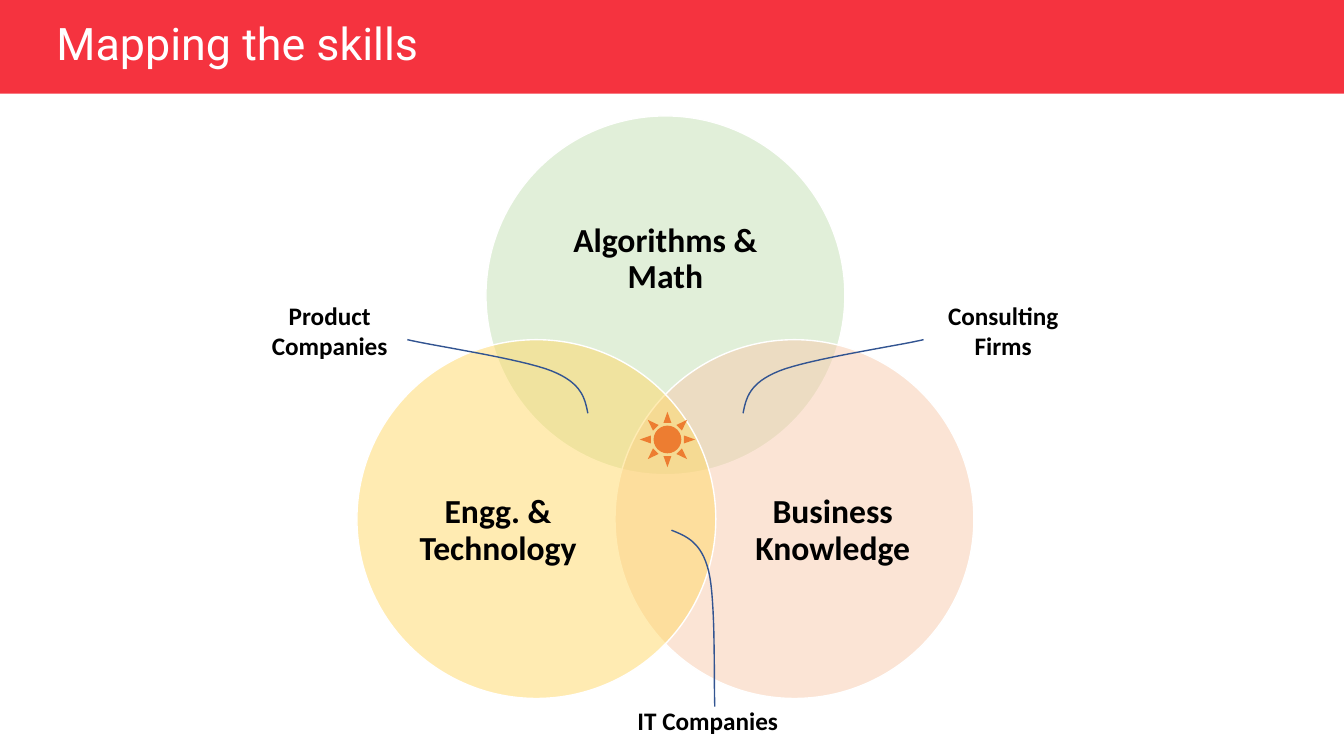
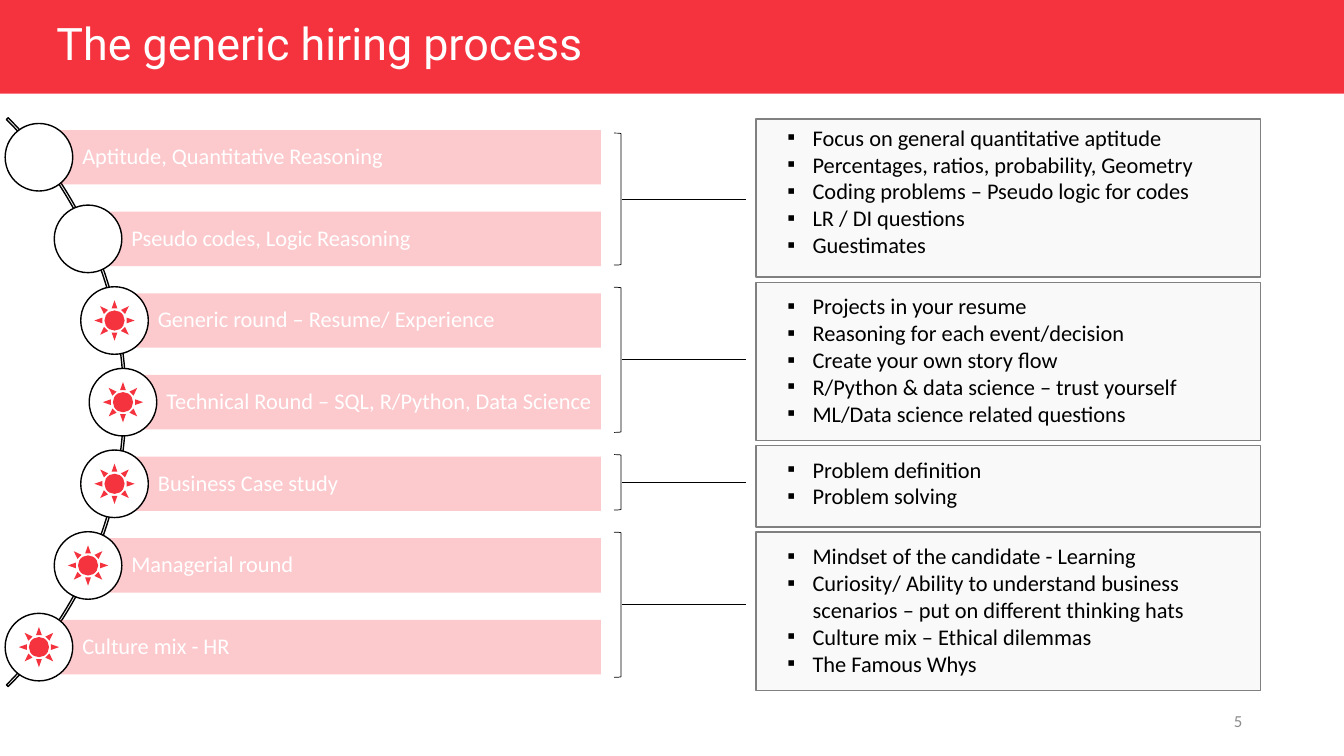
import math

import pptx
import pptx.util
import pptx.dml.color
import pptx.enum.shapes
import pptx.enum.text
import pptx.oxml
import pptx.oxml.ns

Inches, Pt = pptx.util.Inches, pptx.util.Pt
SHAPE = pptx.enum.shapes.MSO_SHAPE
ALIGN = pptx.enum.text.PP_ALIGN
ANCHOR = pptx.enum.text.MSO_ANCHOR
qn = pptx.oxml.ns.qn

SLIDE_W, SLIDE_H = 13.33, 7.5
COLORS = {
    "red": "F5333F", "bar": "F6303E", "white": "FFFFFF", "black": "000000",
    "green": "C5E0B4", "peach": "F8CBAD", "yellow": "FFD966", "orange": "ED7D31",
    "leader": "325491", "panel": "F2F2F2", "border": "808080", "number": "8C8C8C",
}
BODY_FONT, TITLE_FONT = "Calibri", "Roboto"

# Skills map: text, colour, centre, text insets (left, top, right, bottom)
AXIS_X, CIRCLE_D = 6.6, 3.56
SKILLS = [
    ("Algorithms & Math", "green", (AXIS_X, 2.93), (0, 0.1, 0, 0.81)),
    ("Business Knowledge", "peach", (AXIS_X + 1.28, 5.15), (0.76, 0.4, 0, 0.16)),
    ("Engg. & Technology", "yellow", (AXIS_X - 1.28, 5.15), (0, 0.4, 0.76, 0.16)),
]
EMPLOYERS = [("Product Companies", 2.35, 3), ("Consulting Firms", 9.03, 3),
             ("IT Companies", 6.1, 6.87)]
SIDE_LEADER = [(7.37, 4.1), (7.4, 3.95), (7.43, 3.8), (7.73, 3.68),
               (8.03, 3.56), (8.91, 3.43), (9.16, 3.37)]
LOWER_LEADER = [(6.66, 5.26), (6.81, 5.32), (6.96, 5.38), (7.03, 5.67),
                (7.1, 5.96), (7.08, 6.77), (7.09, 7.01)]
LEADERS = [SIDE_LEADER, [(2 * AXIS_X - x, y) for x, y in SIDE_LEADER], LOWER_LEADER]

# Hiring process: round, whether it is marked with a sun
ROUNDS = [
    ("Aptitude, Quantitative Reasoning", False),
    ("Pseudo codes, Logic Reasoning", False),
    ("Generic round – Resume/ Experience", True),
    ("Technical Round – SQL, R/Python, Data Science", True),
    ("Business Case study", True),
    ("Managerial round", True),
    ("Culture mix - HR", True),
]
ARC_X, ARC_Y, ARC_D, ROUND_R = -2.74, 3.99, 7.98, 3.96
PITCH, BAR_H, BAR_RIGHT, NODE_D, SUN_D = 0.81, 0.54, 5.96, 0.67, 0.4

# Panel height, top inset, bracket top, bracket height, points
PANELS = [
    (1.57, 0.05, 1.32, 1.31, [
        "Focus on general quantitative aptitude",
        "Percentages, ratios, probability, Geometry",
        "Coding problems – Pseudo logic for codes",
        "LR / DI questions",
        "Guestimates"]),
    (1.57, 0.1, 2.85, 1.44, [
        "Projects in your resume",
        "Reasoning for each event/decision",
        "Create your own story flow",
        "R/Python & data science – trust yourself",
        "ML/Data science related questions"]),
    (0.81, 0.1, 4.51, 0.55, ["Problem definition", "Problem solving"]),
    (1.57, 0.1, 5.28, 1.44, [
        "Mindset of the candidate - Learning",
        "Curiosity/ Ability to understand business scenarios – put on different thinking hats",
        "Culture mix – Ethical dilemmas",
        "The Famous Whys"]),
]
PANEL_X, PANEL_W, PANEL_TOP, PANEL_GAP = 7.5, 5, 1.18, 0.05
BRACKET_X, BRACKET_W, LINK_LEFT, LINK_RIGHT = 6.09, 0.07, 6.17, 7.4


def rgb(name):
    return pptx.dml.color.RGBColor.from_string(COLORS[name])


def set_line(line, color, width):
    line.color.rgb = rgb(color)
    line.width = Pt(width)


def paint(sp, fill=None, alpha=None, line=None, width=1):
    """Set fill, opacity in percent and outline; None leaves a part empty."""
    sp.shadow.inherit = False
    if fill:
        sp.fill.solid()
        sp.fill.fore_color.rgb = rgb(fill)
        if alpha:
            clr = sp.element.spPr.find(qn("a:solidFill"))[0]
            clr.append(pptx.oxml.parse_xml(
                f'<a:alpha {pptx.oxml.ns.nsdecls("a")} val="{alpha * 1000}"/>'))
    else:
        sp.fill.background()
    if line:
        set_line(sp.line, line, width)
    else:
        sp.line.fill.background()
    return sp


def add_box(s, kind, box, **look):
    sp = s.shapes.add_shape(kind, *map(Inches, box))
    return paint(sp, **look)


def add_centred(s, kind, x, y, size, **look):
    return add_box(s, kind, (x - size / 2, y - size / 2, size, size), **look)


def add_bullet(p):
    pPr = p._p.get_or_add_pPr()
    pPr.set("marL", str(Inches(0.25)))
    pPr.set("indent", str(-Inches(0.25)))
    for xml in ('<a:buFont {} typeface="Arial"/>', '<a:buChar {} char="▪"/>'):
        pPr.append(pptx.oxml.parse_xml(xml.format(pptx.oxml.ns.nsdecls("a"))))


def write(sp, lines, size, color="black", font=BODY_FONT, bold=False, align=ALIGN.LEFT,
          anchor=ANCHOR.MIDDLE, insets=(0.1, 0.05, 0.1, 0.05), spacing=None, bullets=False):
    tf = sp.text_frame
    frame = {"word_wrap": True, "auto_size": pptx.enum.text.MSO_AUTO_SIZE.NONE,
             "vertical_anchor": anchor}
    for side, inset in zip(("left", "top", "right", "bottom"), insets):
        frame["margin_" + side] = Inches(inset)
    for name, value in frame.items():
        setattr(tf, name, value)
    for i, line in enumerate(lines):
        p = tf.add_paragraph() if i else tf.paragraphs[0]
        p.alignment = align
        if spacing:
            p.line_spacing = spacing
        if bullets:
            add_bullet(p)
        r = p.add_run()
        r.text = line
        for name, value in {"name": font, "size": Pt(size), "bold": bold}.items():
            setattr(r.font, name, value)
        r.font.color.rgb = rgb(color)


def add_label(s, text, box, size, **style):
    write(s.shapes.add_textbox(*map(Inches, box)), [text], size, **style)


def add_curve(s, points, steps=16):
    """Draw an open chain of cubic Bezier segments."""
    dots = [points[0]]
    for k in range(0, len(points) - 1, 3):
        for n in range(1, steps + 1):
            t = n / steps
            weights = [math.comb(3, j) * t ** j * (1 - t) ** (3 - j) for j in range(4)]
            dots.append(tuple(sum(w * pt[axis] for w, pt in zip(weights, points[k:k + 4]))
                              for axis in (0, 1)))
    dots = [(Inches(x), Inches(y)) for x, y in dots]
    builder = s.shapes.build_freeform(*dots[0])
    builder.add_line_segments(dots[1:], close=False)
    paint(builder.convert_to_shape(), line="leader")


def add_link(s, y):
    cn = s.shapes.add_connector(pptx.enum.shapes.MSO_CONNECTOR.STRAIGHT,
                                *map(Inches, (LINK_LEFT, y, LINK_RIGHT, y)))
    set_line(cn.line, "black", 0.5)
    cn.element.spPr.append(pptx.oxml.parse_xml(
        f'<a:effectLst {pptx.oxml.ns.nsdecls("a")}/>'))


def add_slide(prs, title):
    s = prs.slides.add_slide(prs.slide_layouts[5])
    sp = s.shapes.title
    for name, value in zip(("left", "top", "width", "height"), (0.46, 0.18, 5.45, 0.56)):
        setattr(sp, name, Inches(value))
    write(sp, [title], 32, color="white", font=TITLE_FONT, spacing=0.9)
    return s


def move_band_to_layout(s):
    """Draw the title band and place it on the layout, behind every slide that uses it."""
    band = add_box(s, SHAPE.RECTANGLE, (0, 0, SLIDE_W, 0.93), fill="red")
    s.slide_layout.shapes.element.insert(2, band.element)


def draw_skills(s):
    for text, color, (x, y), insets in SKILLS:
        sp = add_centred(s, SHAPE.OVAL, x, y, CIRCLE_D, fill=color, alpha=50, line="white")
        write(sp, [text], 24, bold=True, align=ALIGN.CENTER, insets=insets, spacing=0.9)
    for points in LEADERS:
        add_curve(s, points)
    for text, x, y in EMPLOYERS:
        add_label(s, text, (x, y, 1.84, 0.56), 18, bold=True, align=ALIGN.CENTER)
    add_centred(s, SHAPE.SUN, 6.62, 4.36, 0.55, fill="orange")


def draw_rounds(s):
    arc = add_centred(s, SHAPE.BLOCK_ARC, ARC_X, ARC_Y, ARC_D, line="black")
    for i, value in enumerate((189, 27, 0.003)):
        arc.adjustments[i] = value
    for i, (text, marked) in enumerate(ROUNDS):
        dy = (i - len(ROUNDS) // 2) * PITCH
        x, y = ARC_X + math.sqrt(ROUND_R ** 2 - dy ** 2), ARC_Y + dy
        bar = add_box(s, SHAPE.RECTANGLE, (x, y - BAR_H / 2, BAR_RIGHT - x, BAR_H),
                      fill="bar", alpha=26)
        write(bar, [text], 16, color="white", insets=(0.43, 0.04, 0.04, 0.04), spacing=0.9)
        add_centred(s, SHAPE.OVAL, x, y, NODE_D, fill="white", line="black")
        if marked:
            add_centred(s, SHAPE.SUN, x, y, SUN_D, fill="red")


def draw_panels(s):
    top = PANEL_TOP
    for height, inset, bracket_top, bracket_h, points in PANELS:
        add_box(s, SHAPE.RIGHT_BRACKET, (BRACKET_X, bracket_top, BRACKET_W, bracket_h),
                line="black", width=0.5)
        add_link(s, bracket_top + bracket_h / 2)
        panel = add_box(s, SHAPE.RECTANGLE, (PANEL_X, top, PANEL_W, height),
                        fill="panel", alpha=45, line="border")
        write(panel, points, 16, anchor=ANCHOR.TOP, insets=(0.31, inset, 0.08, 0.05),
              bullets=True)
        top += height + PANEL_GAP


def main():
    prs = pptx.Presentation()
    prs.slide_width, prs.slide_height = Inches(SLIDE_W), Inches(SLIDE_H)
    skills = add_slide(prs, "Mapping the skills")
    move_band_to_layout(skills)
    draw_skills(skills)
    hiring = add_slide(prs, "The generic hiring process")
    draw_rounds(hiring)
    draw_panels(hiring)
    add_label(hiring, "5", (9.42, 6.95, 3, 0.4), 12, color="number", align=ALIGN.RIGHT)
    prs.save("out.pptx")


if __name__ == "__main__":
    main()
